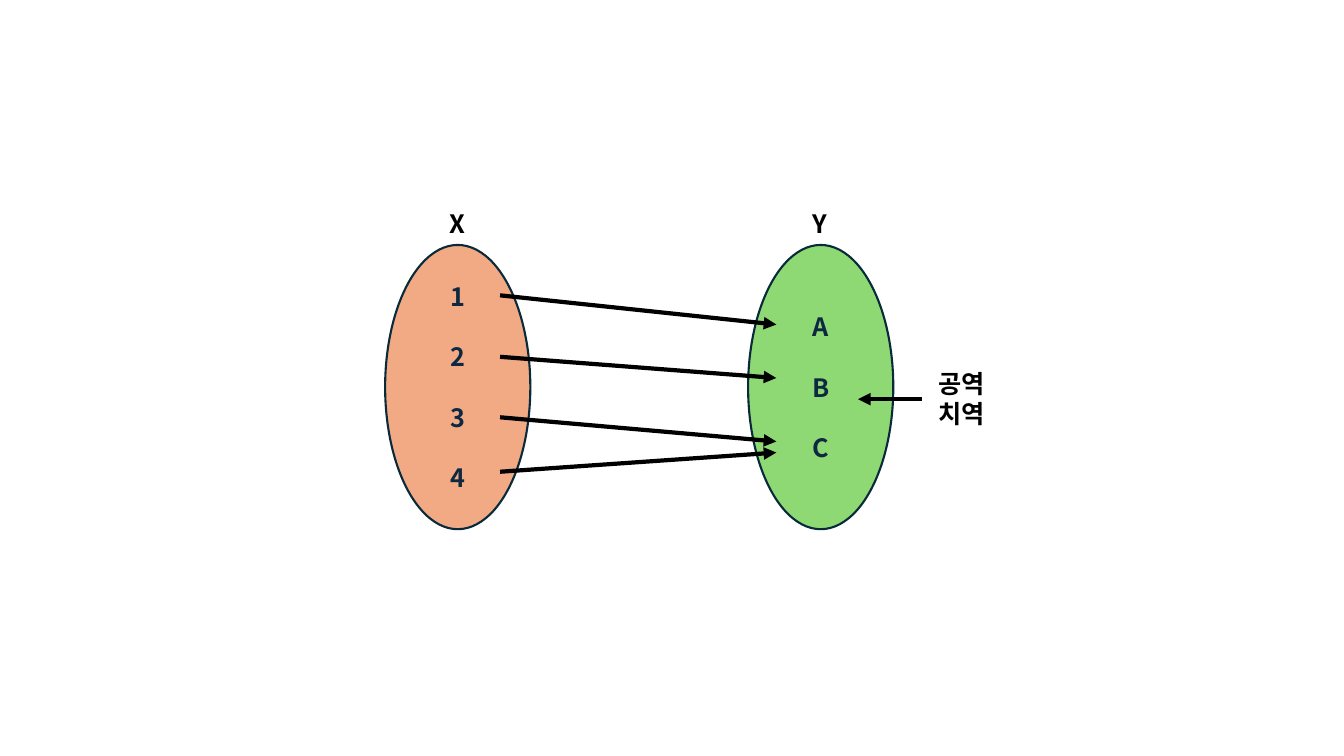
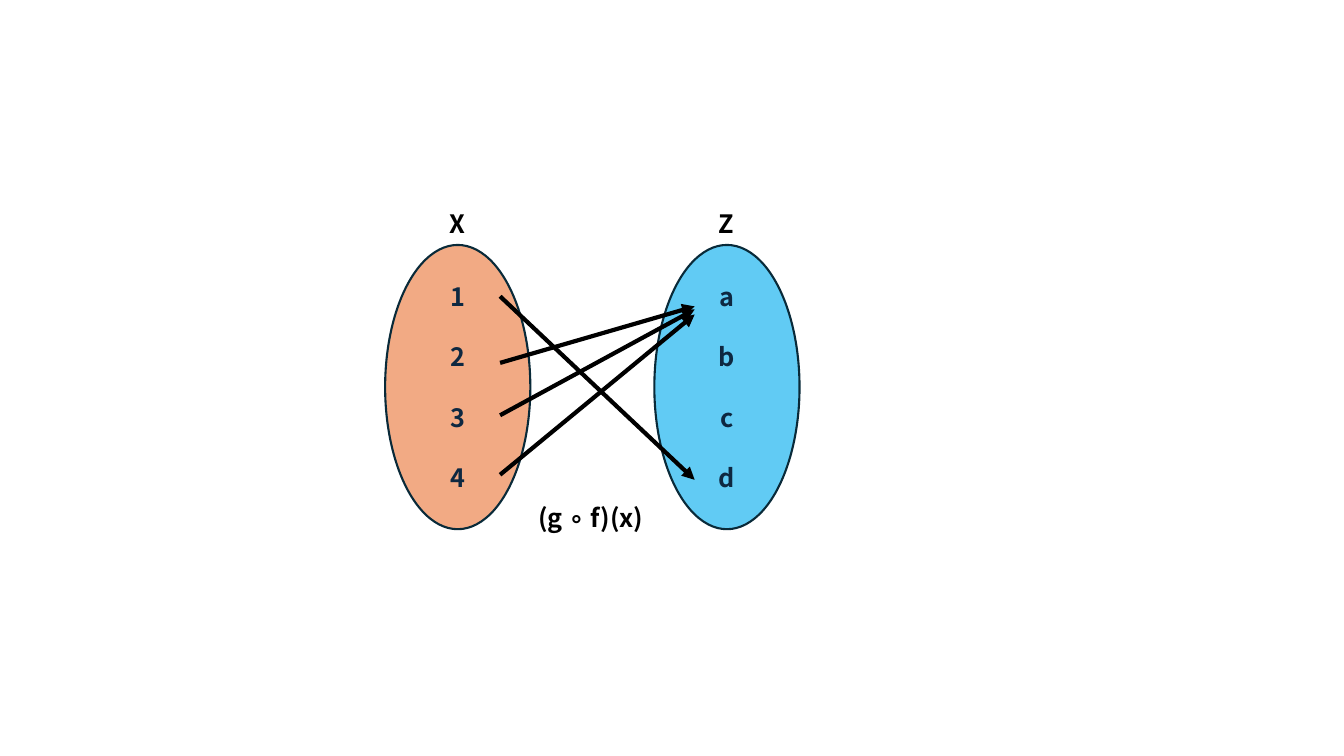
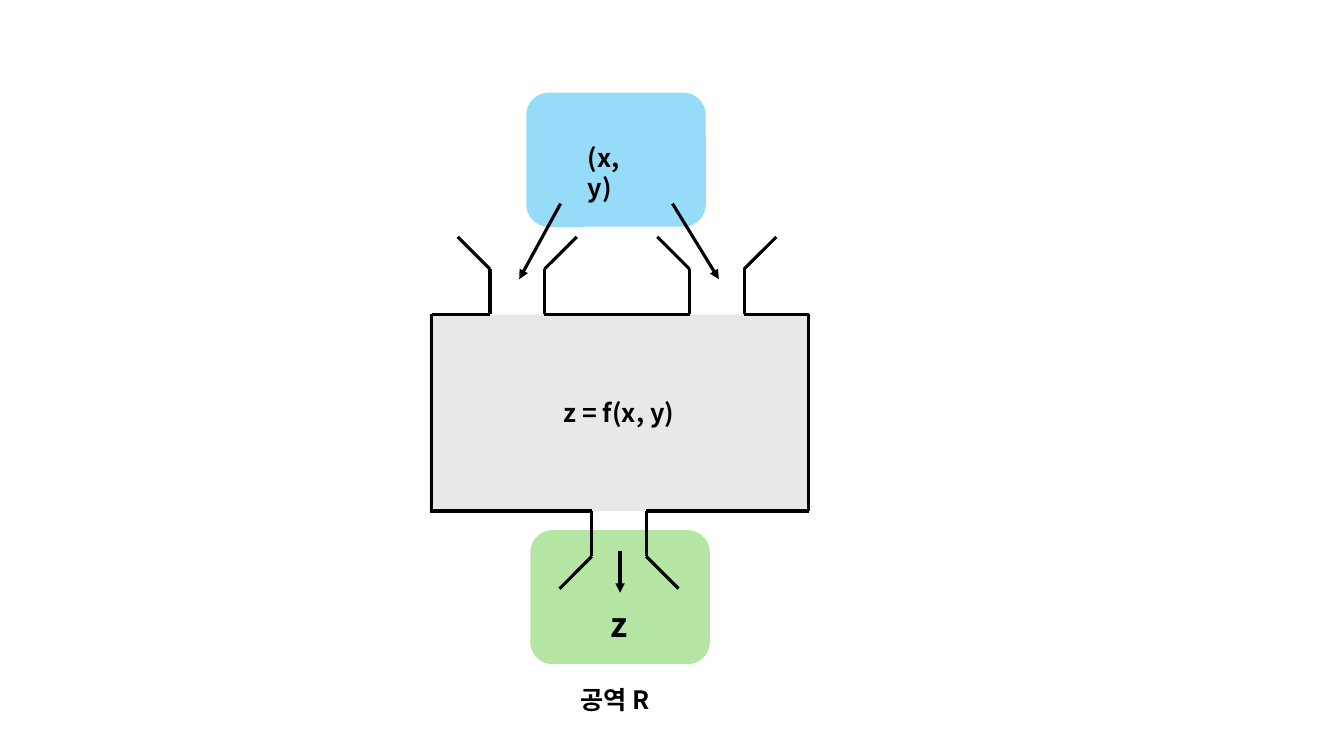
import dataclasses

import lxml.etree
import pptx
import pptx.dml.color
import pptx.enum.shapes
import pptx.enum.text
import pptx.oxml.ns
import pptx.util

Inches = pptx.util.Inches
Pt = pptx.util.Pt
Shapes = pptx.enum.shapes.MSO_SHAPE
Align = pptx.enum.text.PP_ALIGN


@dataclasses.dataclass(frozen=True)
class Theme:
    font: str = "Noto Sans CJK KR"
    black: str = "000000"
    navy: str = "0E2841"
    outline: str = "092A39"
    orange: str = "F2AA84"
    green: str = "8ED973"
    blue: str = "61CBF4"
    light_green: str = "B4E5A2"
    light_blue: str = "96DCF8"
    gray: str = "E8E8E8"
    body_size: float = 18
    large_size: float = 24
    line_height: float = 1.2
    outline_width: float = 1.5
    wall_width: float = 2.25
    arrow_width: float = 3


THEME = Theme()


@dataclasses.dataclass(frozen=True)
class Box:
    left: float
    top: float
    width: float
    height: float

    def inside(self, left, top, width, height):
        return Box(self.left + left, self.top + top, width, height)

    def point(self, x, y):
        return self.left + x, self.top + y

    def lengths(self):
        return [Inches(value) for value in dataclasses.astuple(self)]


def color(value):
    return pptx.dml.color.RGBColor.from_string(value)


def write_lines(frame, lines, size=THEME.body_size, ink=THEME.black, align=Align.LEFT, gap=0):
    for index, line in enumerate(lines):
        paragraph = frame.add_paragraph() if index else frame.paragraphs[0]
        paragraph.alignment = align
        paragraph.line_spacing = Pt(size * THEME.line_height)
        if index:
            paragraph.space_before = Pt(gap)
        run = paragraph.add_run()
        run.text = line
        run.font.name = THEME.font
        run.font.size = Pt(size)
        run.font.bold = True
        run.font.color.rgb = color(ink)
        east_asian = lxml.etree.SubElement(run.font._element, pptx.oxml.ns.qn("a:ea"))
        east_asian.set("typeface", THEME.font)


def add_label(slide, box, *lines, size=THEME.body_size):
    frame = slide.shapes.add_textbox(*box.lengths()).text_frame
    frame.word_wrap = False
    frame.auto_size = pptx.enum.text.MSO_AUTO_SIZE.SHAPE_TO_FIT_TEXT
    write_lines(frame, lines, size)


def add_filled(slide, kind, box, fill, outline=None):
    shape = slide.shapes.add_shape(kind, *box.lengths())
    shape.shadow.inherit = False
    shape.fill.solid()
    shape.fill.fore_color.rgb = color(fill)
    if outline:
        shape.line.color.rgb = color(outline)
        shape.line.width = Pt(THEME.outline_width)
    else:
        shape.line.fill.background()
    shape.text_frame.vertical_anchor = pptx.enum.text.MSO_ANCHOR.MIDDLE
    return shape


def add_line(slide, start, end, width=THEME.wall_width, arrow=False):
    ends = [Inches(value) for value in (*start, *end)]
    line = slide.shapes.add_connector(pptx.enum.shapes.MSO_CONNECTOR.STRAIGHT, *ends)
    line.line.color.rgb = color(THEME.black)
    line.line.width = Pt(width)
    if arrow:
        head = lxml.etree.SubElement(line.line._get_or_add_ln(), pptx.oxml.ns.qn("a:tailEnd"))
        head.set("type", "triangle")
    lxml.etree.SubElement(line._element.spPr, pptx.oxml.ns.qn("a:effectLst"))


def add_set(slide, box, name, elements, fill):
    oval = add_filled(slide, Shapes.OVAL, box.inside(0, 0.41, 1.44, 2.82), fill, THEME.outline)
    gap = THEME.body_size * THEME.line_height
    write_lines(oval.text_frame, elements, ink=THEME.navy, align=Align.CENTER, gap=gap)
    add_label(slide, box.inside(0.54, 0, 0.37, 0.4), name)


def add_mapping(slide, box, target, fill, arrow_end, arrow_heights):
    name, elements = target
    add_set(slide, box, "X", "1234", THEME.orange)
    add_set(slide, box.inside(box.width - 1.44, 0, 1.44, box.height), name, elements, fill)
    for start, end in arrow_heights:
        add_line(slide, box.point(1.14, start), box.point(arrow_end, end), THEME.arrow_width, True)


def build_range_slide(slide, box):
    heights = [(0.91, 1.2), (1.52, 1.73), (2.12, 2.36), (2.66, 2.47)]
    add_mapping(slide, box, ("Y", "ABC"), THEME.green, 3.88, heights)
    add_line(slide, box.point(5.32, 1.94), box.point(4.69, 1.94), THEME.arrow_width, True)
    add_label(slide, box.inside(5.39, 1.58, 0.71, 0.71), "공역", "치역")


def build_composition_slide(slide, box):
    heights = [(0.92, 2.74), (1.58, 1.02), (2.1, 1.05), (2.69, 1.1)]
    add_mapping(slide, box, ("Z", "abcd"), THEME.blue, 3.07, heights)
    add_label(slide, box.inside(1.42, 2.91, 1.27, 0.4), "(g ∘ f)(x)")


def add_funnel(slide, left, base, direction, width=0.54, neck=0.45, flare=0.32):
    throat = base + direction * neck
    for x, side in ((left, -1), (left + width, 1)):
        add_line(slide, (x, base), (x, throat))
        add_line(slide, (x, throat), (x + side * flare, throat + direction * flare))


def add_machine(slide, box):
    body = add_filled(slide, Shapes.RECTANGLE, box, THEME.gray)
    write_lines(body.text_frame, ["z = f(x, y)"], align=Align.CENTER)
    right, bottom = box.width, box.height
    walls = [
        ((0.02, 0), (0.02, bottom)),
        ((right, 0), (right, bottom)),
        ((0.02, 0), (0.6, 0)),
        ((1.14, 0), (2.58, 0)),
        ((3.12, 0), (right, 0)),
        ((0, bottom), (1.61, bottom)),
        ((2.15, bottom), (right, bottom)),
    ]
    for start, end in walls:
        add_line(slide, box.point(*start), box.point(*end))
    for x, y, direction in ((0.6, 0, -1), (2.58, 0, -1), (1.61, bottom, 1)):
        add_funnel(slide, *box.point(x, y), direction)


def build_machine_slide(slide, box):
    add_filled(slide, Shapes.ROUNDED_RECTANGLE, box.inside(1, 4.34, 1.78, 1.33), THEME.light_green)
    add_filled(slide, Shapes.ROUNDED_RECTANGLE, box.inside(0.96, 0, 1.78, 1.33), THEME.light_blue)
    add_machine(slide, box.inside(0, 2.2, box.width, 1.95))
    arrows = [((2.41, 1.1), (2.87, 1.85)), ((1.3, 1.1), (0.89, 1.85)), ((1.89, 4.55), (1.89, 4.96))]
    for start, end in arrows:
        add_line(slide, box.point(*start), box.point(*end), arrow=True)
    add_label(slide, box.inside(1.7, 5.02, 0.36, 0.5), "z", size=THEME.large_size)
    add_label(slide, box.inside(1.47, 0.44, 0.81, 0.4), "(x, y)")
    add_label(slide, box.inside(1.4, 5.82, 0.96, 0.4), "공역 R")


def main():
    presentation = pptx.Presentation()
    presentation.slide_width = Inches(13.33)
    presentation.slide_height = Inches(7.5)
    pages = [
        (build_range_slide, Box(3.82, 2.02, 5.04, 3.23)),
        (build_composition_slide, Box(3.82, 2.02, 4.11, 3.23)),
        (build_machine_slide, Box(4.26, 0.92, 3.76, 6.22)),
    ]
    for build, box in pages:
        build(presentation.slides.add_slide(presentation.slide_layouts[6]), box)
    presentation.save("out.pptx")


if __name__ == "__main__":
    main()
